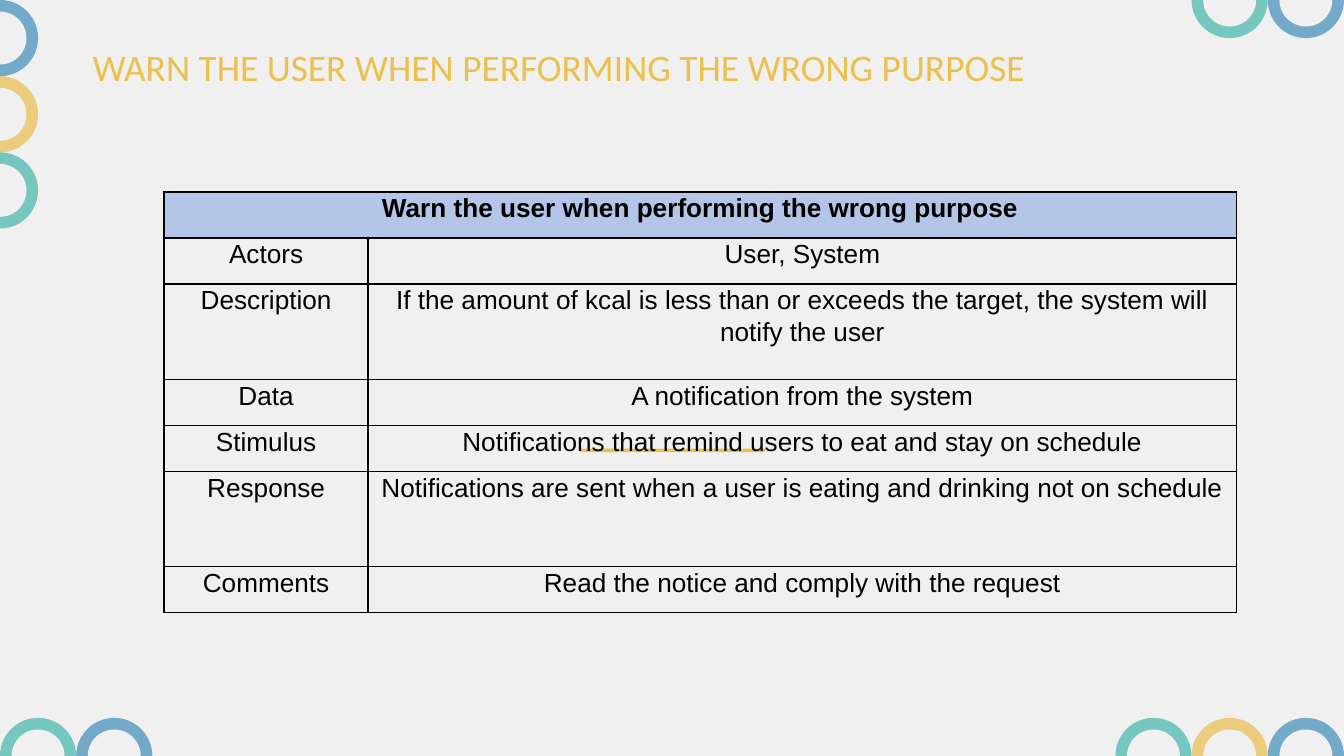
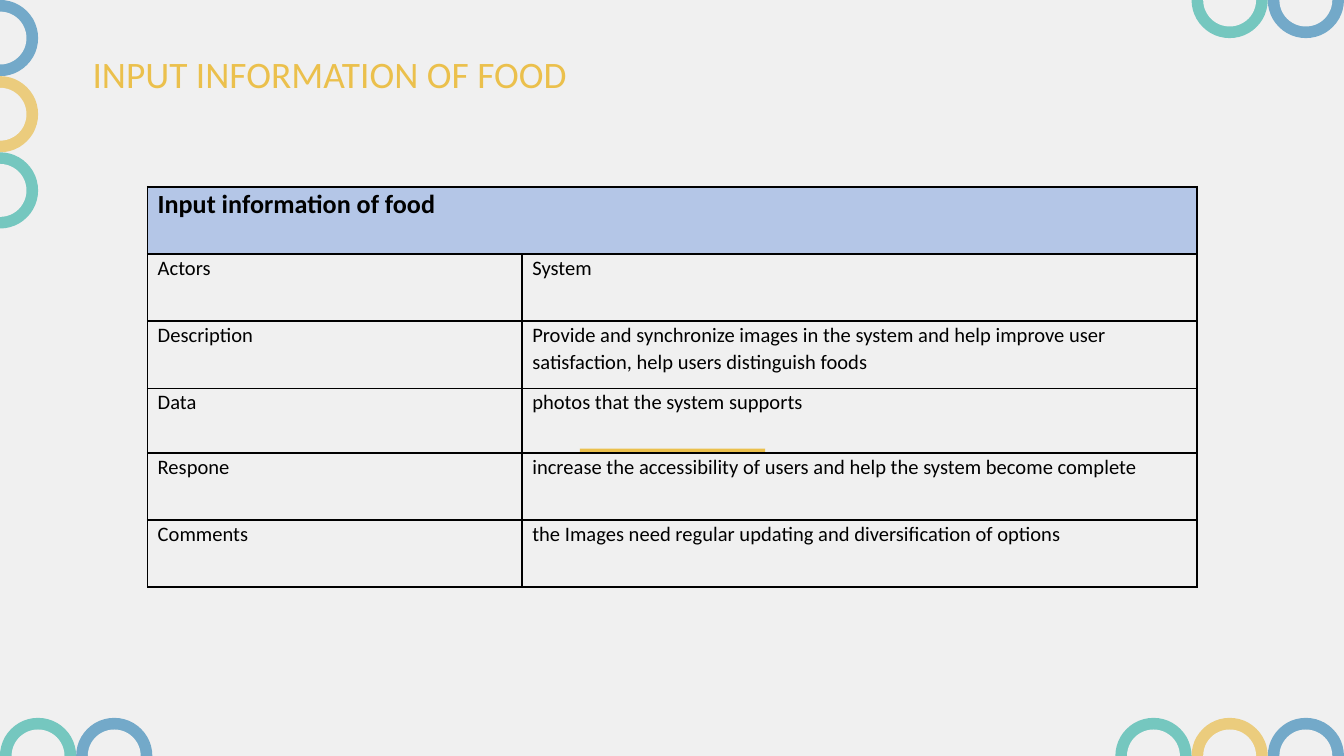
"""Build two use-case slides, each with a titled table framed by rings."""
from lxml.etree import SubElement as Sub
from pptx import Presentation
from pptx.dml.color import RGBColor as RGB
from pptx.enum.shapes import MSO_SHAPE as Shape
from pptx.enum.text import MSO_ANCHOR as Anchor, PP_ALIGN as Align
from pptx.oxml.ns import qn
from pptx.util import Cm, Pt

PAPER, GOLD, HEAD, INK = "F0F0F0", "EBC04C", "B4C6E7", "000000"
BLUE, SAND, TEAL = "73A9C9", "EBCC7D", "75C7BF"
WIDE, HIGH = 25.4, 14.29
RING, HOLE = 1.44, 1.0


def paint(slide, kind, x, y, w, h, tint):
    part = slide.shapes.add_shape(kind, Cm(x), Cm(y), Cm(w), Cm(h))
    part.shadow.inherit = False
    part.fill.solid()
    part.fill.fore_color.rgb = RGB.from_string(tint)
    part.line.fill.background()


def write(frame, text, tint, font, para, box):
    line = frame.paragraphs[0]
    run = line.add_run()
    run.text = text
    run.font.color.rgb = RGB.from_string(tint)
    for item, style in ((run.font, font), (line, para), (frame, box)):
        for key, value in style.items():
            setattr(item, key, value)


strips = [
    (0, RING / 2, 0, RING, (BLUE, SAND, TEAL)),
    (WIDE - RING / 2, HIGH, -RING, 0, (BLUE, SAND, TEAL)),
    (RING * 1.5, HIGH, -RING, 0, (BLUE, TEAL)),
    (WIDE - RING / 2, 0, -RING, 0, (BLUE, TEAL)),
]

pages = [
    {
        "title": "WARN THE USER WHEN PERFORMING THE WRONG PURPOSE",
        "top": 0.74,
        "at": (3.1, 3.63),
        "cols": (3.86, 16.41),
        "rows": (0.87, 0.87, 1.8, 0.87, 0.87, 1.8, 0.87),
        "font": "Arial",
        "size": 14,
        "align": Align.CENTER,
        "cells": [
            ("Warn the user when performing the wrong purpose",),
            ("Actors", "User, System"),
            ("Description", "If the amount of kcal is less than or exceeds "
             "the target, the system will notify the user"),
            ("Data", "A notification from the system"),
            ("Stimulus", "Notifications that remind users to eat and stay on schedule"),
            ("Response", "Notifications are sent when a user is eating and "
             "drinking not on schedule"),
            ("Comments", "Read the notice and comply with the request"),
        ],
    },
    {
        "title": "INPUT INFORMATION OF FOOD",
        "top": 0.89,
        "at": (2.79, 3.53),
        "cols": (7.08, 12.75),
        "rows": (1.27, 1.27, 1.27, 1.22, 1.27, 1.27),
        "font": "Calibri",
        "size": 11,
        "align": Align.LEFT,
        "cells": [
            ("Input information of food",),
            ("Actors", "System"),
            ("Description", "Provide and synchronize images in the system and "
             "help improve user satisfaction, help users distinguish foods"),
            ("Data", "photos that the system supports"),
            ("Respone", "increase the accessibility of users and help the "
             "system become complete"),
            ("Comments", "the Images need regular updating and "
             "diversification of options"),
        ],
    },
]

deck = Presentation()
deck.slide_width, deck.slide_height = Cm(WIDE), Cm(HIGH)
inset = {"margin_left": Cm(0.25), "margin_right": Cm(0.25),
         "margin_top": Cm(0.25), "margin_bottom": Cm(0.25),
         "vertical_anchor": Anchor.MIDDLE, "word_wrap": True}
pad = {"margin_left": Cm(0.19), "margin_right": Cm(0.19),
       "margin_top": 0, "margin_bottom": 0}

for page in pages:
    slide = deck.slides.add_slide(deck.slide_layouts[6])
    slide.background.fill.solid()
    slide.background.fill.fore_color.rgb = RGB.from_string(PAPER)

    paint(slide, Shape.RECTANGLE, 10.96, 8.48, 3.5, 0.07, GOLD)
    for x, y, dx, dy, tints in strips:
        for i, tint in enumerate(tints):
            for size, fill in ((RING, tint), (HOLE, PAPER)):
                paint(slide, Shape.OVAL, x + i * dx - size / 2,
                      y + i * dy - size / 2, size, size, fill)

    title = slide.shapes.add_textbox(Cm(1.5), Cm(page["top"]), Cm(21.39), Cm(1.02))
    write(title.text_frame, page["title"], GOLD,
          {"name": "Calibri", "size": Pt(20)}, {}, inset)

    rows, cols = page["rows"], page["cols"]
    left, top = page["at"]
    grid = slide.shapes.add_table(len(rows), len(cols), Cm(left), Cm(top),
                                  Cm(sum(cols)), Cm(sum(rows))).table
    grid.first_row = grid.horz_banding = False
    for col, width in zip(grid.columns, cols):
        col.width = Cm(width)
    for row, height in zip(grid.rows, rows):
        row.height = Cm(height)
    grid.cell(0, 0).merge(grid.cell(0, 1))

    for cell in grid.iter_cells():
        props = cell._tc.get_or_add_tcPr()
        for side in ("a:lnL", "a:lnR", "a:lnT", "a:lnB"):
            edge = Sub(props, qn(side), w=str(Pt(1)))
            Sub(Sub(edge, qn("a:solidFill")), qn("a:srgbClr"), val=INK)
        cell.fill.background()
    grid.cell(0, 0).fill.solid()
    grid.cell(0, 0).fill.fore_color.rgb = RGB.from_string(HEAD)

    para = {"alignment": page["align"], "line_spacing": 1.07, "space_after": Pt(8)}
    for r, texts in enumerate(page["cells"]):
        font = {"name": page["font"], "bold": r == 0,
                "size": Pt(page["size"] if r else 14)}
        for c, text in enumerate(texts):
            cell = grid.cell(r, c)
            write(cell.text_frame, text, INK, font, para, {})
            for key, value in pad.items():
                setattr(cell, key, value)

deck.save("out.pptx")
